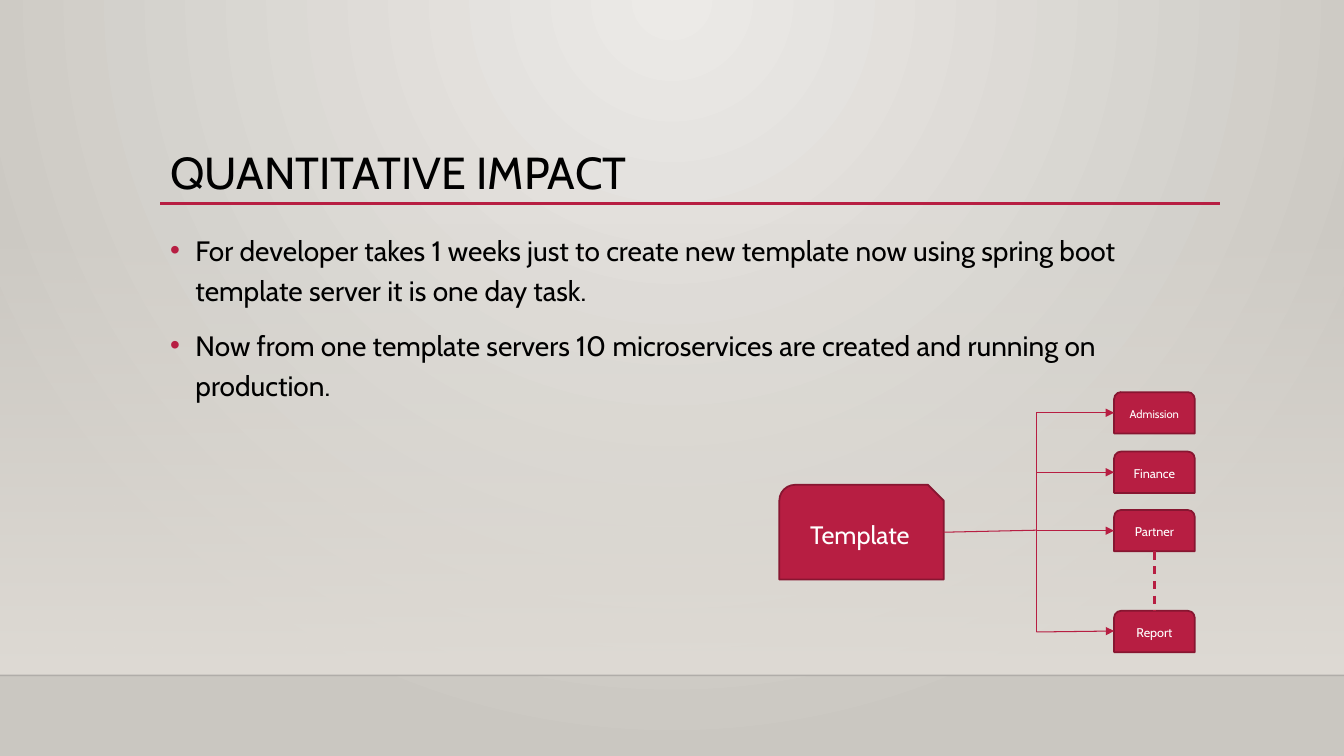
"""Build the Quantitative Impact slide with its template-to-services diagram."""
from lxml.etree import SubElement
from pptx import Presentation
from pptx.dml.color import RGBColor
from pptx.enum.dml import MSO_LINE
from pptx.enum.shapes import MSO_CONNECTOR, MSO_SHAPE
from pptx.enum.text import MSO_ANCHOR, PP_ALIGN
from pptx.oxml.ns import qn
from pptx.util import Inches, Pt

CRIMSON = RGBColor(0xB7, 0x1E, 0x42)
DARK_CRIMSON = RGBColor(0x87, 0x16, 0x31)
BLACK = RGBColor(0x00, 0x00, 0x00)
WHITE = RGBColor(0xFF, 0xFF, 0xFF)
PALE_STONE = RGBColor(0xEC, 0xEA, 0xE7)
DARK_STONE = RGBColor(0xCA, 0xC7, 0xC1)
STONE = RGBColor(0xDF, 0xDB, 0xD5)
FLOOR_EDGE = RGBColor(0x00, 0x00, 0x01)

deck = Presentation()
deck.slide_width, deck.slide_height = Inches(13.33), Inches(7.5)
page = deck.slides.add_slide(deck.slide_layouts[6])


def write(box, lines, size, color, **paragraph_format):
    frame = box.text_frame
    frame.word_wrap = True
    for index, line in enumerate(lines):
        para = frame.paragraphs[0] if index == 0 else frame.add_paragraph()
        for name, value in paragraph_format.items():
            setattr(para, name, value)
        para.space_before = Pt(10 if index else 0)
        span = para.add_run()
        span.text = line
        for name, value in {"name": "Cabin", "size": Pt(size)}.items():
            setattr(span.font, name, value)
        span.font.color.rgb = color
    return frame


def connect(start, end, width=0.75, color=CRIMSON, kind=MSO_CONNECTOR.STRAIGHT, arrow=False):
    link = page.shapes.add_connector(kind, *map(Inches, (*start, *end)))
    link.line.color.rgb = color
    link.line.width = Pt(width)
    if arrow:
        SubElement(link.line._get_or_add_ln(), qn("a:tailEnd"), type="triangle")
    SubElement(link.element.spPr, qn("a:effectLst"))
    return link


backdrop = page.background.fill
backdrop.gradient()
for stop, color in zip(backdrop.gradient_stops, (PALE_STONE, DARK_STONE)):
    stop.color.rgb = color
gradient = page.element.find(".//" + qn("a:gradFill"))
gradient.remove(gradient.find(qn("a:lin")))
circle = SubElement(gradient, qn("a:path"), attrib={"path": "circle"})
SubElement(circle, qn("a:fillToRect"), l="43000", t="0", r="43000", b="100000")

wall = page.shapes.add_shape(MSO_SHAPE.RECTANGLE, Inches(0), Inches(2.21), Inches(13.33), Inches(4.49))
wall.shadow.inherit = False
wall.line.fill.background()
wall.fill.gradient()
wall.fill.gradient_angle = 270
for stop in wall.fill.gradient_stops:
    stop.color.rgb = STONE
SubElement(wall.element.find(".//" + qn("a:srgbClr")), qn("a:alpha"), val="0")

floor = connect((0, 6.7), (13.33, 6.7), 1, FLOOR_EDGE)
SubElement(floor.element.spPr.find(".//" + qn("a:srgbClr")), qn("a:alpha"), val="20000")
connect((1.59, 2.02), (12.1, 2.02), 2.5)

title = page.shapes.add_textbox(Inches(1.59), Inches(1.44), Inches(10.5), Inches(0.59))
write(title, ["QUANTITATIVE IMPACT"], 32, BLACK, line_spacing=0.9).vertical_anchor = MSO_ANCHOR.MIDDLE

body = page.shapes.add_textbox(Inches(1.59), Inches(2.2), Inches(10.5), Inches(3.77))
points = [
    "For developer takes 1 weeks just to create new template now using spring boot template server it is one day task.",
    "Now from one template servers 10 microservices are created and running on production.",
]
for para in write(body, points, 20, BLACK, line_spacing=1.2).paragraphs:
    properties = para._p.get_or_add_pPr()
    properties.set("marL", str(Inches(0.25)))
    properties.set("indent", str(Inches(-0.25)))
    bullet_color = SubElement(properties, qn("a:buClr"))
    SubElement(bullet_color, qn("a:srgbClr"), val=str(CRIMSON))
    SubElement(properties, qn("a:buFont"), typeface="Arial")
    SubElement(properties, qn("a:buChar"), char="•")

TRUNK, SERVICE_LEFT, SERVICE_WIDTH, SERVICE_HEIGHT = 10.28, 11.05, 0.8, 0.41
service_tops = {"Admission": 3.89, "Finance": 4.48, "Partner": 5.06, "Report": 6.06}
nodes = [("Template", MSO_SHAPE.SNIP_ROUND_RECTANGLE, (7.73, 4.81, 1.63, 0.94), 18)]
for service, top in service_tops.items():
    place = (SERVICE_LEFT, top, SERVICE_WIDTH, SERVICE_HEIGHT)
    nodes.append((service, MSO_SHAPE.ROUND_2_SAME_RECTANGLE, place, 8 if service == "Admission" else 9))
for label, outline, place, size in nodes:
    node = page.shapes.add_shape(outline, *map(Inches, place))
    node.shadow.inherit = False
    node.fill.solid()
    node.fill.fore_color.rgb = CRIMSON
    node.line.color.rgb = DARK_CRIMSON
    node.line.width = Pt(1.25)
    write(node, [label], size, WHITE, alignment=PP_ALIGN.CENTER).vertical_anchor = MSO_ANCHOR.MIDDLE

connect((TRUNK, 4.1), (TRUNK, 6.27))
for service in ("Admission", "Finance", "Partner"):
    middle = service_tops[service] + SERVICE_HEIGHT / 2
    connect((TRUNK, middle), (SERVICE_LEFT, middle), kind=MSO_CONNECTOR.ELBOW, arrow=True)
connect((9.36, 5.28), (TRUNK, 5.26))
connect((TRUNK, 6.27), (SERVICE_LEFT, 6.26), arrow=True)
more_services = connect((11.45, 5.47), (11.45, 6.06), 1.5)
more_services.line.dash_style = MSO_LINE.DASH

deck.save("out.pptx")
